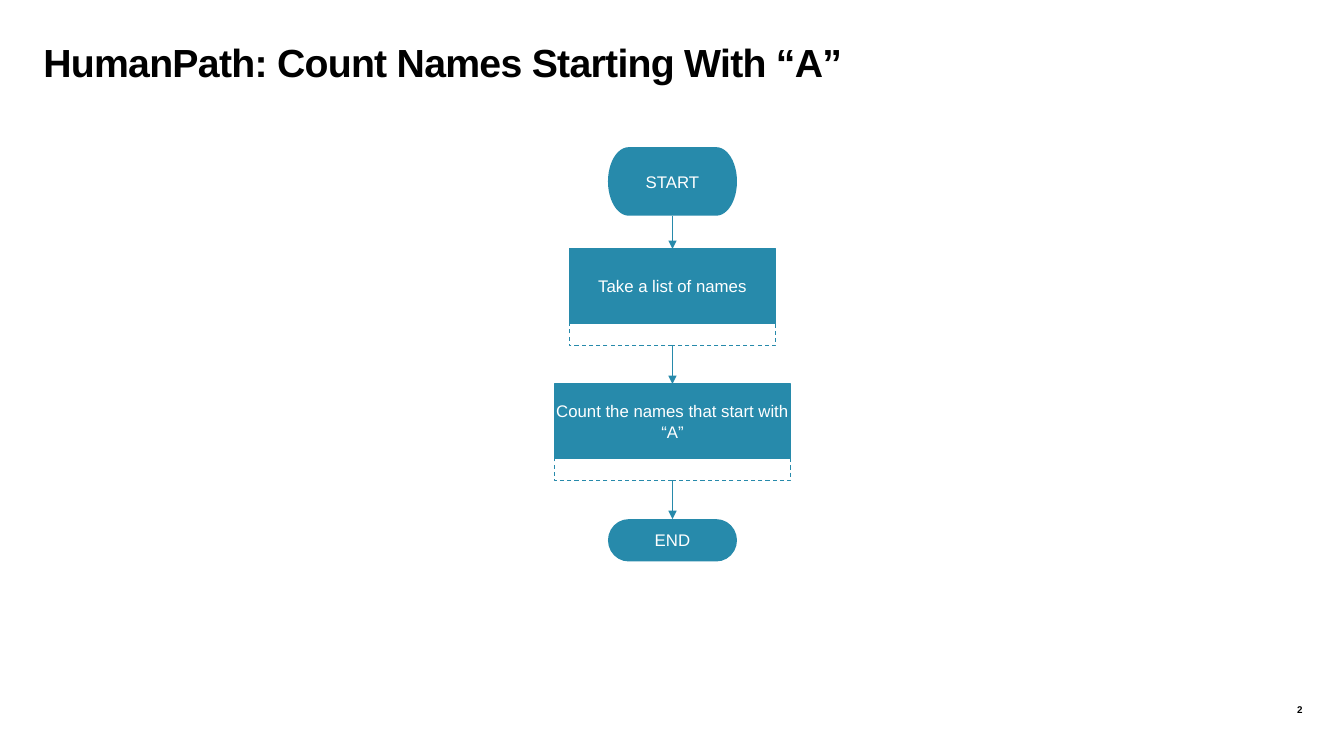
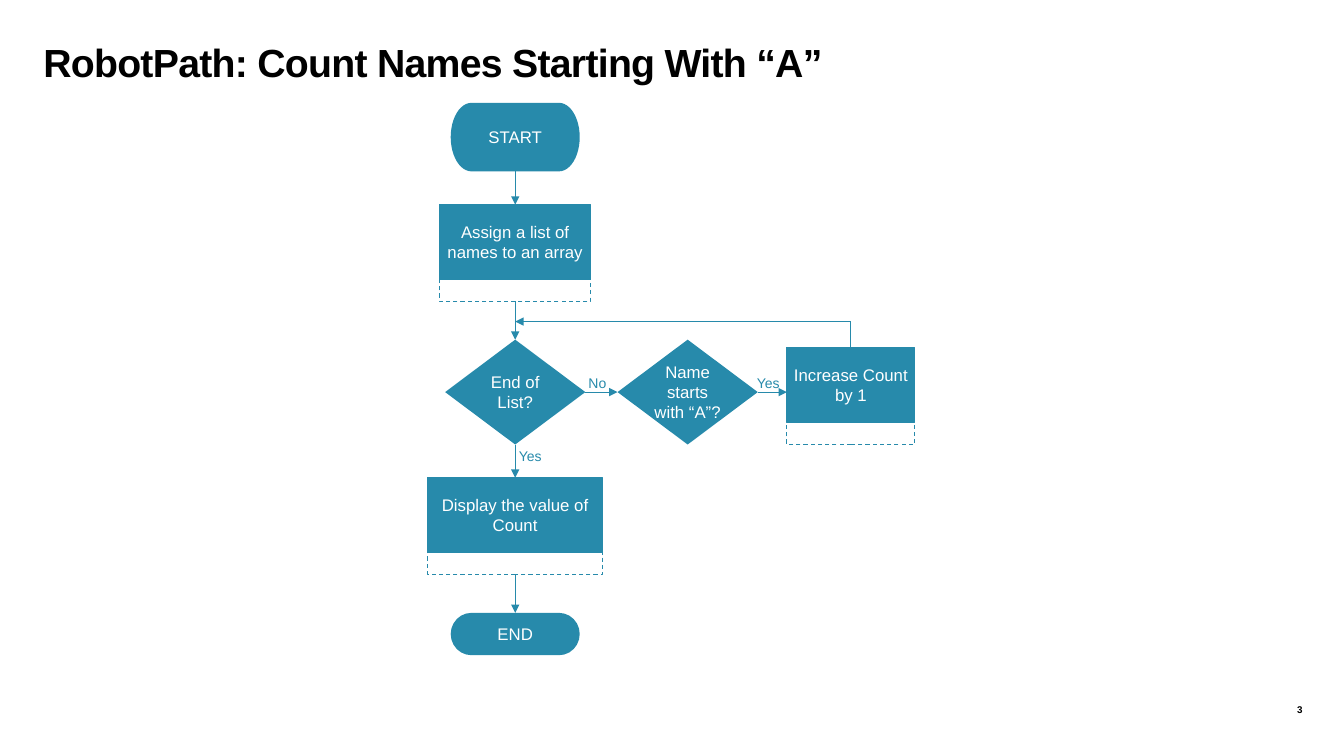
"""Build two flowchart slides that count the names starting with a letter."""
from lxml import etree
from pptx import Presentation
from pptx.dml.color import RGBColor
from pptx.enum.dml import MSO_LINE
from pptx.enum.shapes import MSO_CONNECTOR, MSO_SHAPE
from pptx.enum.text import MSO_ANCHOR, MSO_AUTO_SIZE, PP_ALIGN
from pptx.oxml.ns import qn
from pptx.util import Inches, Pt

TEAL = RGBColor(0x27, 0x8A, 0xAB)
WHITE = RGBColor(0xFF, 0xFF, 0xFF)
BLACK = RGBColor(0, 0, 0)
FONT = "Arial"
DASH = MSO_LINE.DASH
STRAIGHT = MSO_CONNECTOR.STRAIGHT
TERMINATOR, RECTANGLE, DIAMOND = (
    MSO_SHAPE.FLOWCHART_TERMINATOR, MSO_SHAPE.RECTANGLE, MSO_SHAPE.DIAMOND)
TOP, MIDDLE = MSO_ANCHOR.TOP, MSO_ANCHOR.MIDDLE
LEFT, CENTER, RIGHT = PP_ALIGN.LEFT, PP_ALIGN.CENTER, PP_ALIGN.RIGHT
TOP_SIDE, LEFT_SIDE, BOTTOM_SIDE, RIGHT_SIDE = range(4)

SLIDE_SIZE = (13.33, 7.5)
TITLE_AREA = (0.43, 0.45, 12.5, 1)
NUMBER_AREA = (12.03, 6.97, 0.89, 0.13)
LABEL_SIZE = (0.6, 0.37)
FIRST_NUMBER = 2
TRAY_HEIGHT = 0.22
BRANCH_RISE = 0.44
LOOP_RISE = 0.18

KINDS = {
    "start": {"outline": TERMINATOR, "height": 0.68, "gap": 0.33},
    "step": {"outline": RECTANGLE, "height": 0.74, "gap": 0.38},
    "test": {"outline": DIAMOND, "height": 1.04, "gap": 0.33},
    "end": {"outline": TERMINATOR, "height": 0.42, "gap": 0},
}

FLOWCHARTS = [
    {
        "title": "HumanPath: Count Names Starting With “A”",
        "center": 6.67,
        "top": 1.46,
        "spine": [
            ("start", "START", 1.28, ""),
            ("step", "Take a list of names", 2.05, ""),
            ("step", "Count the names that start with “A”", 2.34, ""),
            ("end", "END", 1.28, ""),
        ],
        "branch": [],
    },
    {
        "title": "RobotPath: Count Names Starting With “A”",
        "center": 5.11,
        "top": 1.02,
        "spine": [
            ("start", "START", 1.28, ""),
            ("step", "Assign a list of names to an array", 1.5, ""),
            ("test", "End of List?", 1.39, "Yes"),
            ("step", "Display the value of Count", 1.73, ""),
            ("end", "END", 1.28, ""),
        ],
        "branch": [
            ("test", "Name starts with “A”?", 1.39, 6.82, "No"),
            ("step", "Increase Count by 1", 1.27, 8.44, "Yes"),
        ],
    },
]


def write(shape, text, size, color, align=CENTER, anchor=MIDDLE, bold=False):
    frame = shape.text_frame
    frame.word_wrap = True
    frame.auto_size = MSO_AUTO_SIZE.NONE
    frame.vertical_anchor = anchor
    frame.margin_left = frame.margin_right = frame.margin_top = frame.margin_bottom = 0
    paragraph = frame.paragraphs[0]
    paragraph.alignment = align
    run = paragraph.add_run()
    run.text = text
    run.font.name, run.font.size, run.font.bold = FONT, Pt(size), bold
    run.font.color.rgb = color
    return paragraph, run


def add_heading(slide, title, number):
    heading = slide.shapes.title
    heading.left, heading.top, heading.width, heading.height = map(Inches, TITLE_AREA)
    paragraph, run = write(heading, title, 28, BLACK, LEFT, TOP, True)
    paragraph.line_spacing = 0.85
    run.font._element.set("spc", "-50")
    number_box = slide.shapes.add_textbox(*map(Inches, NUMBER_AREA))
    write(number_box, str(number), 7, BLACK, RIGHT, bold=True)


def add_outline(slide, outline, center, top, width, height):
    shape = slide.shapes.add_shape(
        outline, *map(Inches, (center - width / 2, top, width, height)))
    shape.shadow.inherit = False
    return shape


def add_node(slide, kind, text, width, center, top):
    """Draw a node and return it with the shape that its outgoing arrow leaves."""
    outline, height = KINDS[kind]["outline"], KINDS[kind]["height"]
    node = add_outline(slide, outline, center, top, width, height)
    node.fill.solid()
    node.fill.fore_color.rgb = TEAL
    write(node, text, 12, WHITE)
    if kind != "step":
        node.line.fill.background()
        return node, node
    tray = add_outline(slide, RECTANGLE, center, top + height, width, TRAY_HEIGHT)
    tray.fill.background()
    for part in (node, tray):
        part.line.color.rgb = TEAL
        part.line.width = Pt(0.75)
    tray.line.dash_style = DASH
    return node, tray


def add_link(slide, start, end, arrow=True):
    link = slide.shapes.add_connector(STRAIGHT, *map(Inches, start + end))
    link.line.color.rgb = TEAL
    link.line.width = Pt(0.75)
    if arrow:
        etree.SubElement(link.line._get_or_add_ln(), qn("a:tailEnd"), type="triangle")
    etree.SubElement(link._element.spPr, qn("a:effectLst"))
    return link


def add_label(slide, text, center, middle):
    width, height = LABEL_SIZE
    label = slide.shapes.add_textbox(
        *map(Inches, (center - width / 2, middle - height / 2, width, height)))
    write(label, text, 10, TEAL)


def add_spine(slide, chart):
    """Stack the main column and return the top and shape of its test."""
    center, top = chart["center"], chart["top"]
    source, gap, exit_label, test = None, 0, "", None
    for kind, text, width, label in chart["spine"]:
        node, foot = add_node(slide, kind, text, width, center, top)
        if source is not None:
            link = add_link(slide, (center, top - gap), (center, top))
            link.begin_connect(source, BOTTOM_SIDE)
            link.end_connect(node, TOP_SIDE)
        if exit_label:
            add_label(slide, exit_label, center + 0.15, top - gap / 2 - 0.05)
        if kind == "test":
            test = top, node
        source, gap, exit_label = foot, KINDS[kind]["gap"], label
        tray = TRAY_HEIGHT if kind == "step" else 0
        top += KINDS[kind]["height"] + tray + gap
    return test


def add_branch(slide, chart, test):
    """Run the side row from the test and loop back to the main column."""
    test_top, source = test
    middle = test_top + KINDS["test"]["height"] / 2
    edge = chart["center"] + source.width.inches / 2
    for kind, text, width, center, label in chart["branch"]:
        top = middle - BRANCH_RISE if kind == "step" else test_top
        node, _ = add_node(slide, kind, text, width, center, top)
        left = center - width / 2
        link = add_link(slide, (edge, middle), (left, middle))
        link.begin_connect(source, RIGHT_SIDE)
        if kind == "test":
            link.end_connect(node, LEFT_SIDE)
        add_label(slide, label, (edge + left) / 2 - 0.04, middle - 0.09)
        source, edge = node, center + width / 2
    loop = test_top - LOOP_RISE
    riser = add_link(slide, (center, top), (center, loop), arrow=False)
    riser.begin_connect(source, TOP_SIDE)
    add_link(slide, (center, loop), (chart["center"], loop))


def main():
    prs = Presentation()
    prs.slide_width, prs.slide_height = map(Inches, SLIDE_SIZE)
    title_only = prs.slide_layouts[5]
    for number, chart in enumerate(FLOWCHARTS, FIRST_NUMBER):
        slide = prs.slides.add_slide(title_only)
        add_heading(slide, chart["title"], number)
        test = add_spine(slide, chart)
        if chart["branch"]:
            add_branch(slide, chart, test)
    prs.save("out.pptx")


if __name__ == "__main__":
    main()
